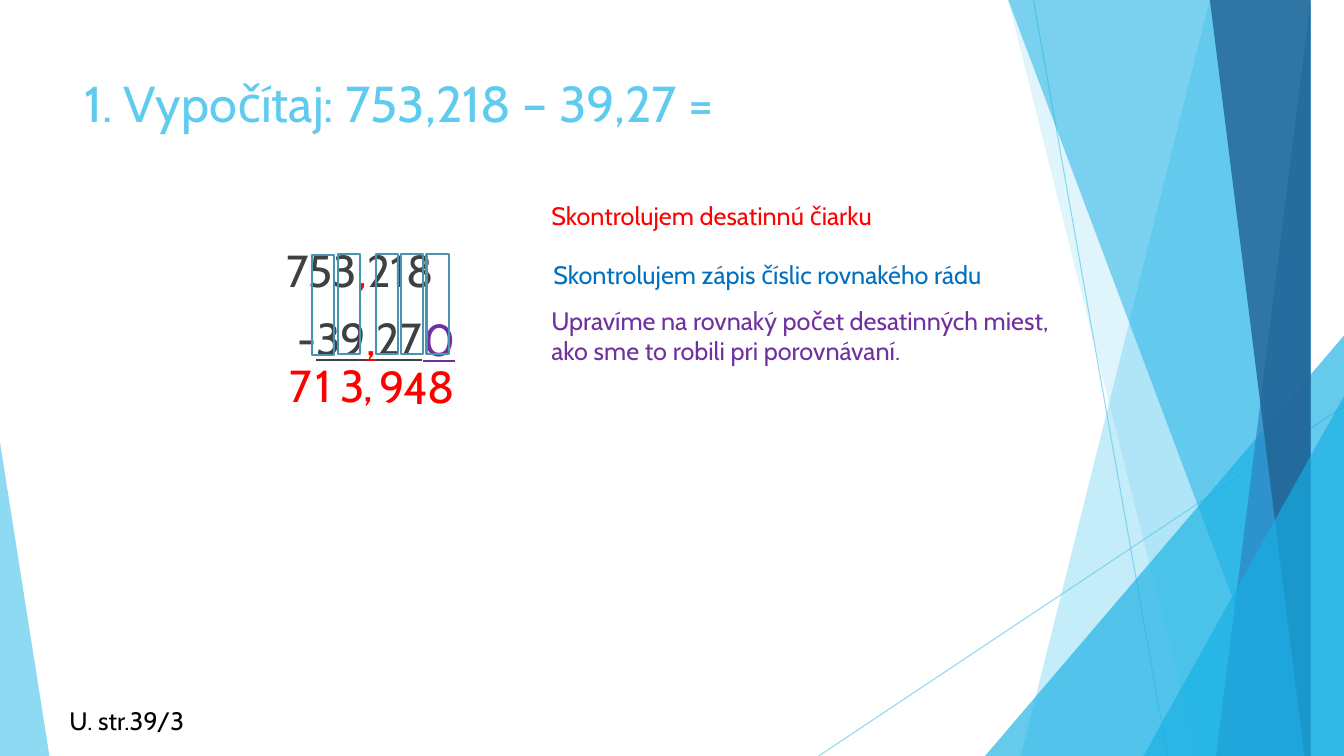
from dataclasses import dataclass

import pptx
import pptx.dml.color
import pptx.enum.shapes
import pptx.enum.text
import pptx.oxml
import pptx.oxml.ns
import pptx.util
from pptx.util import Inches


@dataclass(frozen=True)
class Theme:
    font: str = "Cabin"
    title_size: int = 36
    sum_size: int = 32
    note_size: int = 18
    sky: str = "5FCBEF"
    cyan: str = "17B0E4"
    blue: str = "2E83C3"
    navy: str = "226292"
    frame: str = "4696B1"
    ink: str = "404040"
    black: str = "000000"
    red: str = "FF0000"
    purple: str = "7030A0"
    note_blue: str = "0070C0"


THEME = Theme()
WIDTH, HEIGHT = 13.33, 7.5


@dataclass(frozen=True)
class Ray:
    start: tuple[float, float]
    end: tuple[float, float]


@dataclass(frozen=True)
class Facet:
    """A band from a slanted left edge to the right edge of the slide."""
    top_left: float
    bottom_left: float
    color: str
    opacity: int


@dataclass(frozen=True)
class Corner:
    """A triangle standing on the bottom edge, its apex at 0 (left) or 1 (right)."""
    left: float
    top: float
    width: float
    apex: int
    color: str
    opacity: int


@dataclass(frozen=True)
class Label:
    text: str
    left: float
    top: float
    width: float
    height: float
    size: int
    color: str
    underline: bool = False
    wrap: bool = False


@dataclass(frozen=True)
class Digits:
    text: str
    color: str
    underline: bool = False


@dataclass(frozen=True)
class SumRow:
    indent: float
    space_before: int
    groups: tuple[Digits, ...]


RAYS = [Ray((10.25, 0), (11.58, HEIGHT)), Ray((WIDTH, 4.03), (8.12, HEIGHT))]

BACKDROP = [
    Facet(12.28, 10.04, THEME.sky, 36),
    Facet(10.5, 11.83, THEME.sky, 20),
    Corner(9.77, 3.33, 3.56, 1, THEME.cyan, 66),
    Facet(10.21, 12.91, THEME.cyan, 50),
    Facet(13.03, 11.92, THEME.blue, 70),
    Facet(11.96, 13.18, THEME.navy, 80),
    Corner(11.34, 3.93, 1.99, 1, THEME.cyan, 66),
    Corner(0, 4.39, 0.49, 0, THEME.sky, 70),
]

SUM_ROWS = [
    SumRow(2.0, 0, (Digits("753", THEME.ink), Digits(",", THEME.red), Digits("218", THEME.ink))),
    SumRow(2.11, 10, (Digits("-", THEME.ink), Digits("39", THEME.ink, True),
                      Digits(",", THEME.red, True), Digits("27", THEME.ink, True))),
]

RESULT = [("8", 4.14, 3.51), ("4", 3.9, 3.52), ("9", 3.67, 3.51), ("3", 3.28, 3.5),
          ("1", 3.03, 3.5), ("7", 2.77, 3.5), (",", 3.51, 3.49)]

COLUMN_FRAMES = [(3.98, 2.52), (3.73, 2.52), (3.35, 2.52), (3.09, 2.53), (4.23, 2.52)]

TITLE = Label("1. Vypočítaj: 753,218 – 39,27 =", 0.74, 0.67, 9.4, 1.44,
              THEME.title_size, THEME.sky, wrap=True)
ADDED_ZERO = Label("0", 4.1, 3.04, 0.44, 0.64, THEME.sum_size, THEME.purple, underline=True)
NOTES = [
    Label("Upravíme na rovnaký počet desatinných miest,\vako sme to robili pri porovnávaní.",
          5.37, 2.98, 5.59, 0.71, THEME.note_size, THEME.purple),
    Label("Skontrolujem desatinnú čiarku", 5.37, 1.94, 3.64, 0.4,
          THEME.note_size, THEME.red, wrap=True),
    Label("Skontrolujem zápis číslic rovnakého rádu", 5.39, 2.52, 4.83, 0.4,
          THEME.note_size, THEME.note_blue),
    Label("U. str.39/3", 0.59, 6.95, 1.43, 0.4, THEME.note_size, THEME.black),
]


def rgb(color: str) -> pptx.dml.color.RGBColor:
    return pptx.dml.color.RGBColor.from_string(color)


def set_opacity(element, percent: int) -> None:
    for color in element.iter(pptx.oxml.ns.qn("a:srgbClr")):
        alpha = pptx.oxml.parse_xml(f'<a:alpha {pptx.oxml.ns.nsdecls("a")} val="{percent * 1000}"/>')
        color.append(alpha)


def draw_ray(slide, ray: Ray) -> None:
    line = slide.shapes.add_connector(
        pptx.enum.shapes.MSO_CONNECTOR.STRAIGHT,
        *(Inches(value) for value in ray.start + ray.end))
    line.line.color.rgb = rgb(THEME.sky)
    line.line.width = pptx.util.Pt(0.75)
    properties = line._element.spPr
    set_opacity(properties, 70)
    properties.append(pptx.oxml.parse_xml(f'<a:effectLst {pptx.oxml.ns.nsdecls("a")}/>'))


def draw_backdrop_piece(slide, piece: Facet | Corner) -> None:
    if isinstance(piece, Facet):
        outline = slide.shapes.build_freeform(piece.top_left, 0, scale=Inches(1))
        outline.add_line_segments([(WIDTH, 0), (WIDTH, HEIGHT), (piece.bottom_left, HEIGHT)])
        shape = outline.convert_to_shape()
    else:
        shape = slide.shapes.add_shape(
            pptx.enum.shapes.MSO_SHAPE.ISOSCELES_TRIANGLE, Inches(piece.left),
            Inches(piece.top), Inches(piece.width), Inches(HEIGHT - piece.top))
        shape.adjustments[0] = piece.apex
    shape.shadow.inherit = False
    shape.line.fill.background()
    shape.fill.solid()
    shape.fill.fore_color.rgb = rgb(piece.color)
    set_opacity(shape._element.spPr, piece.opacity)


def format_run(run, size: int, color: str, underline: bool) -> None:
    run.font.name = THEME.font
    run.font.size = pptx.util.Pt(size)
    run.font.color.rgb = rgb(color)
    if underline:
        run.font.underline = True


def draw_label(slide, label: Label) -> None:
    box = slide.shapes.add_textbox(Inches(label.left), Inches(label.top),
                                   Inches(label.width), Inches(label.height))
    frame = box.text_frame
    frame.word_wrap = label.wrap
    frame.text = label.text
    for run in frame.paragraphs[0].runs:
        format_run(run, label.size, label.color, label.underline)


def draw_sum(slide) -> None:
    frame = slide.shapes.add_textbox(Inches(0.74), Inches(2.36), Inches(9.4), Inches(2.3)).text_frame
    frame.word_wrap = True
    for index, row in enumerate(SUM_ROWS):
        paragraph = frame.add_paragraph() if index else frame.paragraphs[0]
        paragraph._p.get_or_add_pPr().set("marL", str(Inches(row.indent)))
        if row.space_before:
            paragraph.space_before = pptx.util.Pt(row.space_before)
        for group in row.groups:
            run = paragraph.add_run()
            run.text = group.text
            format_run(run, THEME.sum_size, group.color, group.underline)


def draw_column_frame(slide, left: float, top: float) -> None:
    column = slide.shapes.add_shape(pptx.enum.shapes.MSO_SHAPE.RECTANGLE, Inches(left),
                                    Inches(top), Inches(0.22), Inches(0.99))
    column.shadow.inherit = False
    column.fill.background()
    column.line.color.rgb = rgb(THEME.frame)
    column.line.width = pptx.util.Pt(1.5)


def main() -> None:
    deck = pptx.Presentation()
    deck.slide_width, deck.slide_height = Inches(WIDTH), Inches(HEIGHT)
    slide = deck.slides.add_slide(deck.slide_layouts[6])
    for ray in RAYS:
        draw_ray(slide, ray)
    for piece in BACKDROP:
        draw_backdrop_piece(slide, piece)
    draw_label(slide, TITLE)
    draw_sum(slide)
    draw_label(slide, ADDED_ZERO)
    for digit, left, top in RESULT:
        draw_label(slide, Label(digit, left, top, 0.37 if digit == "," else 0.44, 0.64,
                                THEME.sum_size, THEME.red))
    for left, top in COLUMN_FRAMES:
        draw_column_frame(slide, left, top)
    for note in NOTES:
        draw_label(slide, note)
    deck.save("out.pptx")


if __name__ == "__main__":
    main()
